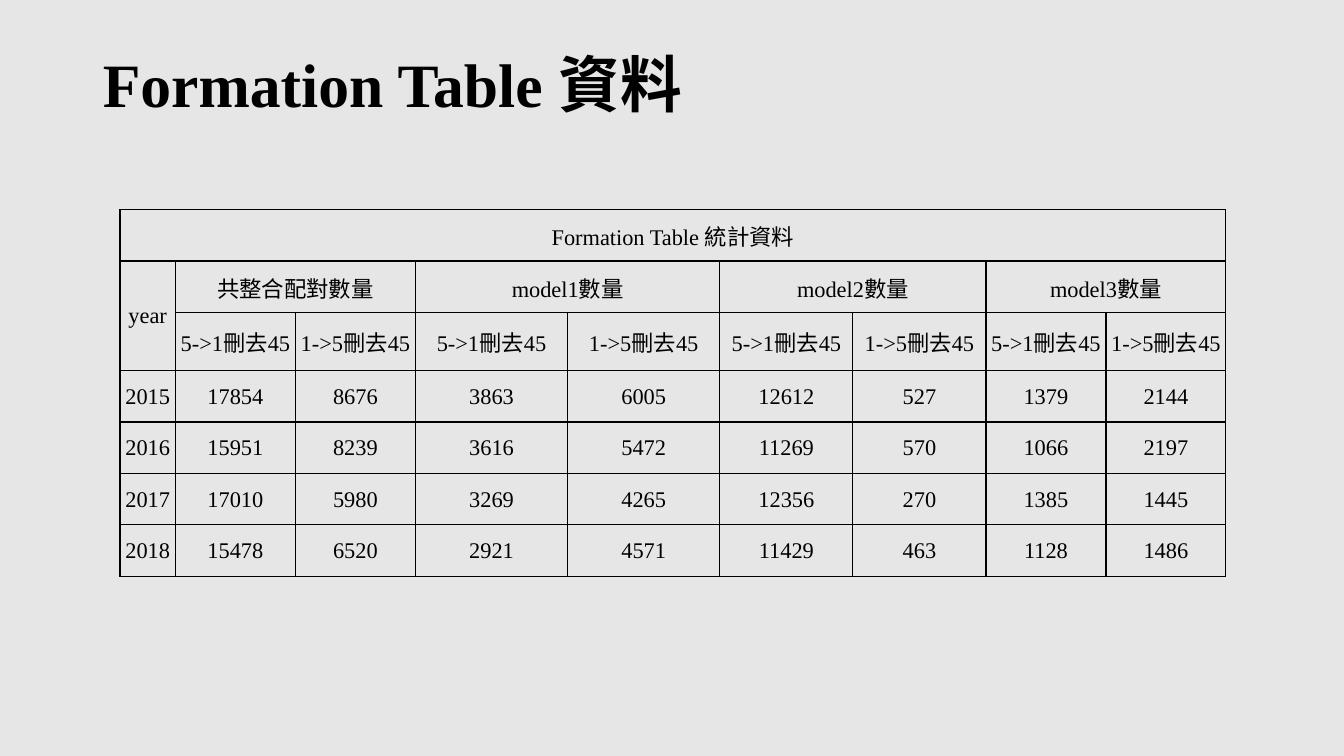
from dataclasses import dataclass

from lxml.etree import SubElement
from pptx import Presentation
from pptx.dml.color import RGBColor
from pptx.enum.text import MSO_ANCHOR as Anchor, PP_ALIGN as Align
from pptx.oxml import parse_xml
from pptx.oxml.ns import nsdecls, qn
from pptx.slide import Slide
from pptx.table import Table, _Cell as Cell
from pptx.text.text import _Paragraph as Paragraph
from pptx.util import Inches, Pt


@dataclass(frozen=True)
class Theme:
    background: str = "E7E6E6"
    ink: str = "000000"
    latin_font: str = "Times New Roman"
    chinese_font: str = "Noto Sans CJK SC"
    title_size: int = 44
    table_size: int = 16
    border_width: int = 1


@dataclass(frozen=True)
class CellSpec:
    row: int
    column: int
    text: str
    row_span: int = 1
    column_span: int = 1


THEME = Theme()
COLUMN_WIDTHS = [0.55, 1.19, 1.19, 1.51, 1.51, 1.32, 1.32, 1.19, 1.19]
ROW_HEIGHT = 0.51
GROUPS = ["共整合配對數量", "model1數量", "model2數量", "model3數量"]
DIRECTIONS = ["5->1刪去45", "1->5刪去45"]
COUNTS = {
    2015: [17854, 8676, 3863, 6005, 12612, 527, 1379, 2144],
    2016: [15951, 8239, 3616, 5472, 11269, 570, 1066, 2197],
    2017: [17010, 5980, 3269, 4265, 12356, 270, 1385, 1445],
    2018: [15478, 6520, 2921, 4571, 11429, 463, 1128, 1486],
}


def add_text(paragraph: Paragraph, text: str, *, size: int,
             latin: str = THEME.latin_font, bold: bool = False) -> None:
    run = paragraph.add_run()
    run.text = text
    run.font.name = latin
    run.font.size = Pt(size)
    run.font.bold = bold
    run.font.color.rgb = RGBColor.from_string(THEME.ink)
    SubElement(run.font._element, qn("a:ea"), typeface=THEME.chinese_font)


def set_borders(cell: Cell) -> None:
    properties = cell._tc.get_or_add_tcPr()
    for index, side in enumerate(("lnL", "lnR", "lnT", "lnB")):
        properties.insert(index, parse_xml(
            f'<a:{side} {nsdecls("a")} w="{Pt(THEME.border_width)}"><a:solidFill>'
            f'<a:srgbClr val="{THEME.ink}"/></a:solidFill></a:{side}>'))


def format_cell(cell: Cell) -> None:
    cell.fill.background()
    set_borders(cell)
    cell.vertical_anchor = Anchor.MIDDLE
    cell.margin_left = cell.margin_right = cell.margin_top = Inches(0.01)
    cell.margin_bottom = 0
    cell.text_frame.paragraphs[0].font.size = Pt(THEME.table_size)


def fill_cell(table: Table, spec: CellSpec) -> None:
    cell = table.cell(spec.row, spec.column)
    if spec.row_span > 1 or spec.column_span > 1:
        cell.merge(table.cell(spec.row + spec.row_span - 1,
                              spec.column + spec.column_span - 1))
    paragraph = cell.text_frame.paragraphs[0]
    paragraph.alignment = Align.CENTER
    add_text(paragraph, spec.text, size=THEME.table_size)


def table_cells() -> list[CellSpec]:
    cells = [CellSpec(0, 0, "Formation Table 統計資料", column_span=len(COLUMN_WIDTHS)),
             CellSpec(1, 0, "year", row_span=2)]
    for group_index, group in enumerate(GROUPS):
        first_column = 1 + group_index * len(DIRECTIONS)
        cells.append(CellSpec(1, first_column, group, column_span=len(DIRECTIONS)))
        cells += [CellSpec(2, column, direction)
                  for column, direction in enumerate(DIRECTIONS, first_column)]
    for row, (year, counts) in enumerate(COUNTS.items(), 3):
        cells += [CellSpec(row, column, str(value))
                  for column, value in enumerate([year, *counts])]
    return cells


def add_title(slide: Slide) -> None:
    title = slide.shapes.title
    title.left, title.top = Inches(0.92), Inches(0.14)
    title.width, title.height = Inches(11.5), Inches(1.45)
    frame = title.text_frame
    frame.word_wrap = True
    frame.vertical_anchor = Anchor.MIDDLE
    paragraph = frame.paragraphs[0]
    paragraph.alignment = Align.LEFT
    paragraph.line_spacing = 0.9
    add_text(paragraph, "Formation Table ", size=THEME.title_size, bold=True)
    add_text(paragraph, "資料", size=THEME.title_size, latin=THEME.chinese_font, bold=True)


def add_statistics_table(slide: Slide) -> None:
    row_count = 3 + len(COUNTS)
    table = slide.shapes.add_table(
        row_count, len(COLUMN_WIDTHS), Inches(1.19), Inches(2.08),
        Inches(sum(COLUMN_WIDTHS)), Inches(row_count * ROW_HEIGHT)).table
    table.first_row = table.horz_banding = False
    for column, width in zip(table.columns, COLUMN_WIDTHS):
        column.width = Inches(width)
    for row in table.rows:
        row.height = Inches(ROW_HEIGHT)
    for cell in table.iter_cells():
        format_cell(cell)
    for spec in table_cells():
        fill_cell(table, spec)


def main() -> None:
    presentation = Presentation()
    presentation.slide_width, presentation.slide_height = Inches(13.33), Inches(7.5)
    slide = presentation.slides.add_slide(presentation.slide_layouts[5])
    slide.background.fill.solid()
    slide.background.fill.fore_color.rgb = RGBColor.from_string(THEME.background)
    add_title(slide)
    add_statistics_table(slide)
    presentation.save("out.pptx")


if __name__ == "__main__":
    main()
